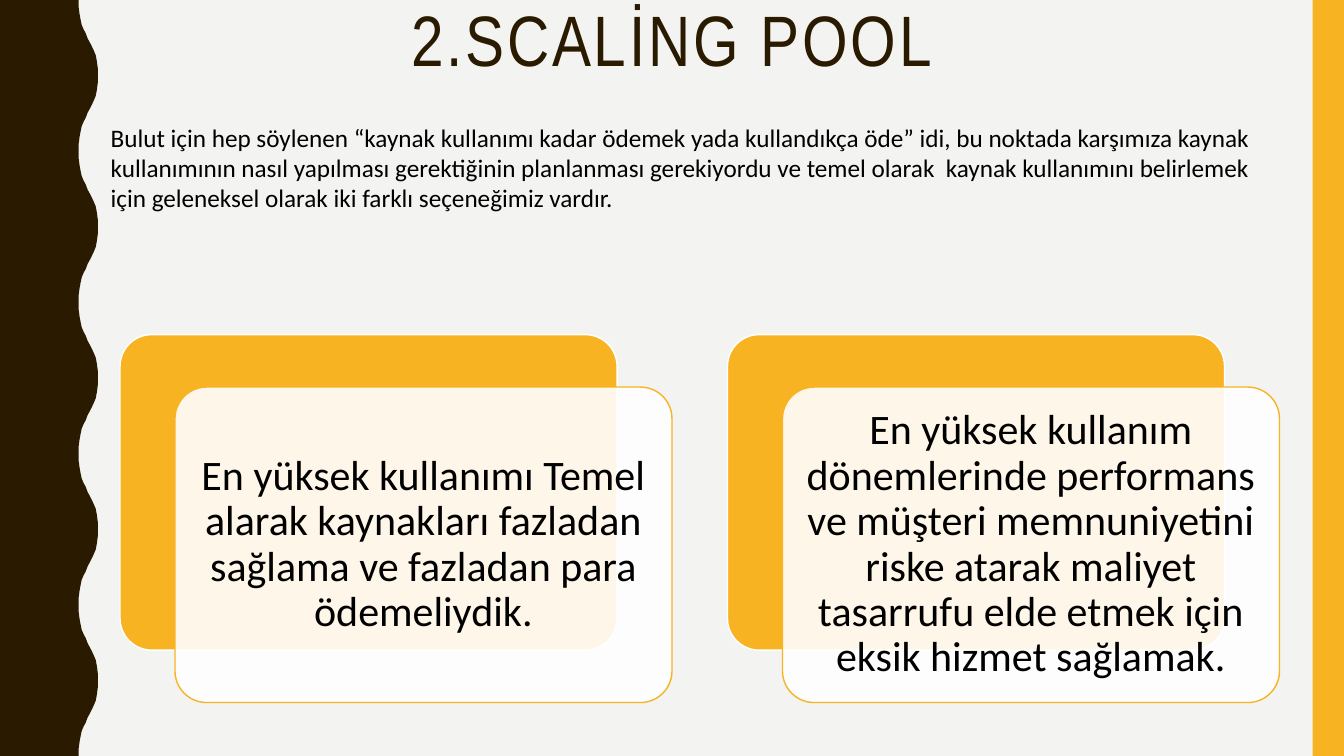
"""Build a slide with a wavy left border, an intro and two overlapping option cards."""
from dataclasses import dataclass
from typing import Optional

from lxml import etree
from pptx import Presentation
from pptx import util as u
from pptx.dml.color import RGBColor
from pptx.enum import shapes, text
from pptx.oxml.ns import qn

W, H = u.Inches(13.33), u.Inches(7.5)
BROWN, AMBER, WHITE, BLACK, PAPER = "2A1A00", "F8B323", "FFFFFF", "000000", "F3F3F2"
BODY_FONT, TITLE_FONT = "Calibri", "Arial Narrow"

WAVE_LEFT, WAVE_DEPTH, HALF_WAVES = 5.85, 1.43, 10
WAVE_PROFILE = [
    (0, 0), (0, .09), (.05, .19), (.11, .27), (.16, .33), (.26, .39), (.37, .44), (.47, .51),
    (.58, .56), (.68, .61), (.79, .67), (.89, .73), (.95, .81), (1, .91), (1, 1),
]

CARD_LEFT, CARD_TOP, CARD_PITCH = 8.93, 44.27, 45.2
CARD_W, CARD_H, SHIFT_X, SHIFT_Y = 36.98, 41.73, 4.09, 6.93


@dataclass
class Box:
    """Position and size in percent of the slide."""
    x: float
    y: float
    w: float
    h: float

    def emu(self) -> tuple[int, int, int, int]:
        """Return left, top, width and height in EMU."""
        return px(self.x), py(self.y), px(self.w), py(self.h)


@dataclass
class Style:
    """Look of one run of text and its paragraph."""
    size: float
    font: str = BODY_FONT
    color: str = BLACK
    align: text.PP_ALIGN = text.PP_ALIGN.CENTER
    line: float = 0.9
    spacing: int = 0


def px(share: float) -> int:
    """Convert a percentage of the slide width to EMU."""
    return round(W * share / 100)


def py(share: float) -> int:
    """Convert a percentage of the slide height to EMU."""
    return round(H * share / 100)


def rgb(color: str) -> RGBColor:
    """Turn a hex string into a colour."""
    return RGBColor.from_string(color)


def paint(sp, fill: str, line: Optional[str] = None, alpha: int = 100) -> None:
    """Set fill, outline and opacity of a shape."""
    sp.shadow.inherit = False
    sp.fill.solid()
    sp.fill.fore_color.rgb = rgb(fill)
    if alpha < 100:
        clr = sp._element.spPr.find(qn("a:solidFill"))[0]
        etree.SubElement(clr, qn("a:alpha")).set("val", str(alpha * 1000))
    if line:
        sp.line.color.rgb = rgb(line)
        sp.line.width = u.Pt(1)
    else:
        sp.line.fill.background()


def write(tf, words: str, style: Style) -> None:
    """Put one styled run into a text frame."""
    tf.word_wrap = True
    p = tf.paragraphs[0]
    p.alignment = style.align
    p.line_spacing = style.line
    r = p.add_run()
    r.text = words
    r.font.size = u.Pt(style.size)
    r.font.name = style.font
    r.font.color.rgb = rgb(style.color)
    if style.spacing:
        r._r.get_or_add_rPr().set("spc", str(style.spacing * 100))


def add_text(s, box: Box, words: str, style: Style) -> None:
    """Add a top-anchored text box."""
    tf = s.shapes.add_textbox(*box.emu()).text_frame
    tf.vertical_anchor = text.MSO_ANCHOR.TOP
    write(tf, words, style)


def add_wave(s) -> None:
    """Draw the dark border with its wavy right edge."""
    step = 100 / HALF_WAVES
    edge = []
    for i in range(HALF_WAVES):
        for depth, dy in WAVE_PROFILE:
            down = 1 - dy if i % 2 else dy
            edge.append((px(WAVE_LEFT + WAVE_DEPTH * depth), py((i + down) * step)))
    edge.sort(key=lambda point: point[1])
    fb = s.shapes.build_freeform(0, 0, scale=1.0)
    fb.add_line_segments([(px(WAVE_LEFT), 0), *edge, (0, H)], close=True)
    paint(fb.convert_to_shape(), BROWN)


def add_round(s, box: Box, fill: str, line: str, alpha: int = 100):
    """Add a rounded rectangle."""
    sp = s.shapes.add_shape(shapes.MSO_SHAPE.ROUNDED_RECTANGLE, *box.emu())
    sp.adjustments[0] = 0.1
    paint(sp, fill, line, alpha)
    return sp


def add_card(s, column: int, words: str) -> None:
    """Add an amber plate with a translucent text card shifted over it."""
    x = CARD_LEFT + column * CARD_PITCH
    add_round(s, Box(x, CARD_TOP, CARD_W, CARD_H), AMBER, WHITE)
    front = Box(x + SHIFT_X, CARD_TOP + SHIFT_Y, CARD_W, CARD_H)
    tf = add_round(s, front, WHITE, AMBER, 90).text_frame
    tf.margin_left = tf.margin_right = tf.margin_top = tf.margin_bottom = u.Inches(0.12)
    tf.vertical_anchor = text.MSO_ANCHOR.MIDDLE
    write(tf, words, Style(30))


TITLE = "2.SCALİNG POOL"
INTRO = (
    "Bulut için hep söylenen “kaynak kullanımı kadar ödemek yada kullandıkça öde” idi, "
    "bu noktada karşımıza kaynak kullanımının nasıl yapılması gerektiğinin planlanması "
    "gerekiyordu ve temel olarak  kaynak kullanımını belirlemek için geleneksel olarak "
    "iki farklı seçeneğimiz vardır."
)
OPTIONS = [
    "En yüksek kullanımı Temel alarak kaynakları fazladan sağlama ve fazladan para ödemeliydik.",
    "En yüksek kullanım dönemlerinde performans ve müşteri memnuniyetini riske atarak "
    "maliyet tasarrufu elde etmek için eksik hizmet sağlamak.",
]


def main() -> None:
    """Build and save the slide."""
    prs = Presentation()
    prs.slide_width, prs.slide_height = W, H
    s = prs.slides.add_slide(prs.slide_layouts[6])
    s.background.fill.solid()
    s.background.fill.fore_color.rgb = rgb(PAPER)
    add_wave(s)
    stripe = Box(97.67, 0, 2.33, 100)
    paint(s.shapes.add_shape(shapes.MSO_SHAPE.RECTANGLE, *stripe.emu()), AMBER)
    add_text(s, Box(0, 0, 100, 15.47), TITLE, Style(51, TITLE_FONT, BROWN, spacing=2))
    for column, words in enumerate(OPTIONS):
        add_card(s, column, words)
    add_text(s, Box(7.5, 15.47, 89.05, 17.47), INTRO,
             Style(18, align=text.PP_ALIGN.LEFT, line=1.0))
    prs.save("out.pptx")


if __name__ == "__main__":
    main()
